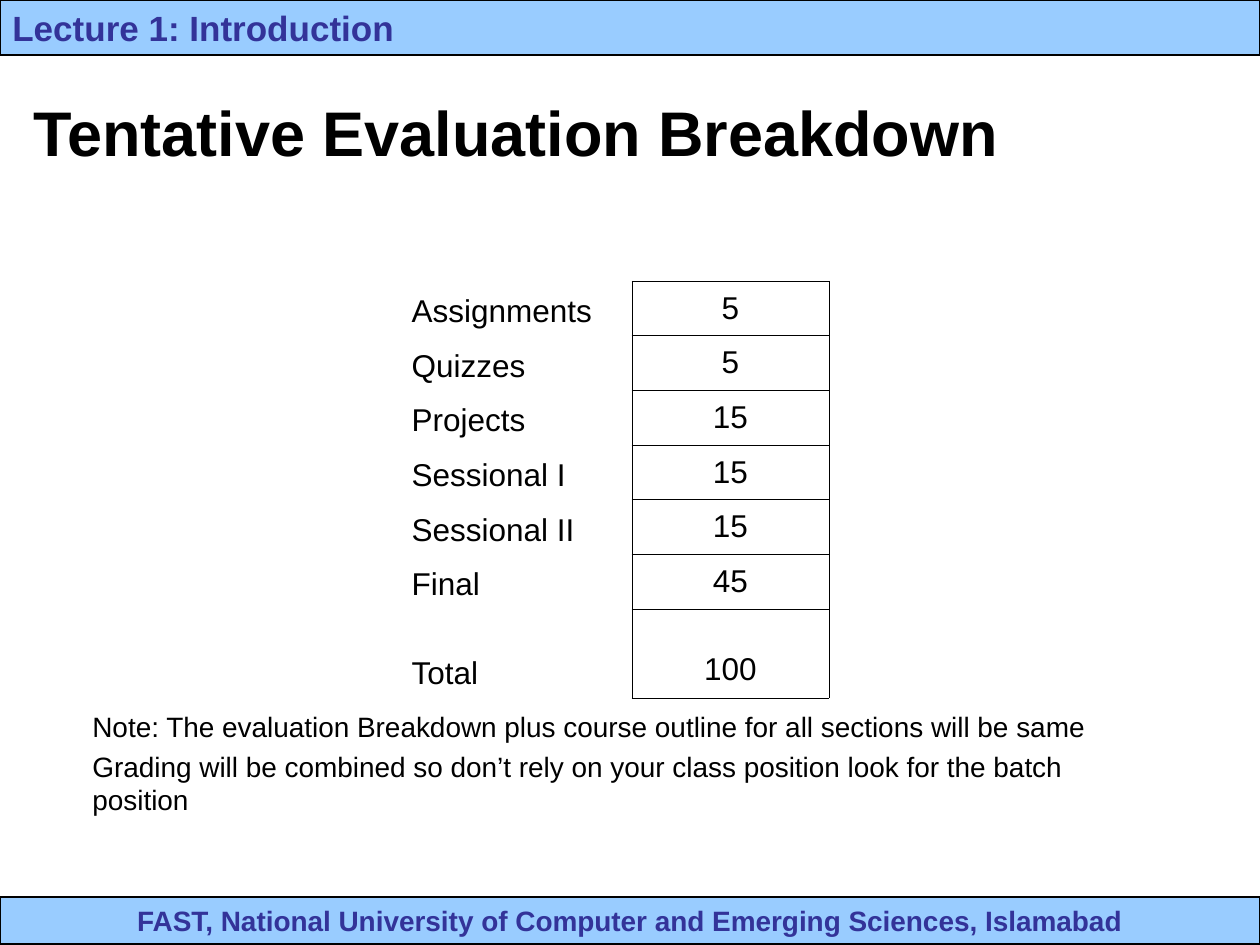
import pptx
import pptx.dml.color
import pptx.enum.shapes
import pptx.enum.text
import pptx.oxml
import pptx.oxml.ns
import pptx.util

ALIGN = pptx.enum.text.PP_ALIGN
ANCHOR = pptx.enum.text.MSO_ANCHOR
BLACK, NAVY, SKY = "000000", "333399", "99CCFF"

TITLE = "Tentative Evaluation Breakdown"
TITLE_PLACE = (21, 63, 1134, 136)
BARS = [
    ("FAST, National University of Computer and Emerging Sciences, Islamabad",
     (0, 897, 1260, 47), 16, ALIGN.CENTER),
    ("Lecture 1: Introduction", (0, 0, 1260, 55), 20, ALIGN.LEFT),
]
NOTES = [
    ("Note: The evaluation Breakdown plus course outline for all sections will be same",
     (80, 703, 1018, 47)),
    ("Grading will be combined so don’t rely on your class position look for the batch position",
     (80, 743, 1099, 47)),
]
MARKS = [
    ("Assignments", "5"), ("Quizzes", "5"), ("Projects", "15"),
    ("Sessional I", "15"), ("Sessional II", "15"), ("Final", "45"),
    ("Total", "100"),
]
TABLE_LEFT, TABLE_TOP = 399, 210
COLUMN_WIDTHS = (233, 197)
HEAD_HEIGHT, MARKS_HEIGHT, TOTAL_HEIGHT = 71, 328, 89
TOTAL_MARGIN = 11


def px(length):
    return pptx.util.Emu(round(length * 914400 / 126))


def color(value):
    return pptx.dml.color.RGBColor.from_string(value)


def write(frame, text, size, align=ALIGN.LEFT, ink=BLACK, bold=False):
    para = frame.paragraphs[0]
    para.text = text
    para.alignment = align
    values = {"name": "Arial", "size": pptx.util.Pt(size), "bold": bold}
    for name, value in values.items():
        setattr(para.font, name, value)
    para.font.color.rgb = color(ink)


def set_borders(cell, ruled):
    """Rule the listed sides (L, R, T, B) and clear the others."""
    properties = cell._tc.get_or_add_tcPr()
    for position, side in enumerate("LRTB"):
        if side in ruled:
            paint = f'<a:solidFill><a:srgbClr val="{BLACK}"/></a:solidFill>'
        else:
            paint = "<a:noFill/>"
        properties.insert(position, pptx.oxml.parse_xml(
            f'<a:ln{side} {pptx.oxml.ns.nsdecls("a")} w="2921">{paint}</a:ln{side}>'))


def add_bar(page, text, place, size, align):
    bar = page.shapes.add_shape(
        pptx.enum.shapes.MSO_SHAPE.RECTANGLE, *map(px, place))
    bar.shadow.inherit = False
    bar.fill.solid()
    bar.fill.fore_color.rgb = color(SKY)
    bar.line.color.rgb = color(BLACK)
    bar.line.width = pptx.util.Pt(0.75)
    bar.text_frame.vertical_anchor = ANCHOR.MIDDLE
    write(bar.text_frame, text, size, align, NAVY, True)


def add_note(page, text, place):
    box = page.shapes.add_textbox(*map(px, place))
    box.text_frame.word_wrap = False
    write(box.text_frame, text, 16)


def add_marks(page):
    rows = [("", "")] + MARKS
    step = MARKS_HEIGHT / (len(MARKS) - 1)
    heights = [HEAD_HEIGHT] + [step] * (len(MARKS) - 1) + [TOTAL_HEIGHT]
    table = page.shapes.add_table(
        len(rows), 2, px(TABLE_LEFT), px(TABLE_TOP),
        px(sum(COLUMN_WIDTHS)), px(sum(heights))).table
    table.first_row = table.horz_banding = False
    for column, width in zip(table.columns, COLUMN_WIDTHS):
        column.width = px(width)
    for index, (texts, height) in enumerate(zip(rows, heights)):
        table.rows[index].height = px(height)
        label, value = table.cell(index, 0), table.cell(index, 1)
        for cell, text, align, anchor in (
                (label, texts[0], ALIGN.LEFT, ANCHOR.BOTTOM),
                (value, texts[1], ALIGN.CENTER, ANCHOR.MIDDLE)):
            cell.fill.background()
            cell.vertical_anchor = anchor
            write(cell.text_frame, text, 18, align)
        set_borders(label, "R" if index else "")
        set_borders(value, "LRTB" if index else "B")
    value.vertical_anchor = ANCHOR.BOTTOM
    value.margin_bottom = px(TOTAL_MARGIN)


def main():
    deck = pptx.Presentation()
    deck.slide_width, deck.slide_height = px(1260), px(945)
    page = deck.slides.add_slide(deck.slide_layouts[5])
    for bar in BARS:
        add_bar(page, *bar)
    title = page.shapes.title
    title.left, title.top, title.width, title.height = map(px, TITLE_PLACE)
    title.text_frame.vertical_anchor = ANCHOR.MIDDLE
    write(title.text_frame, TITLE, 36, bold=True)
    for note in NOTES:
        add_note(page, *note)
    add_marks(page)
    deck.save("out.pptx")


if __name__ == "__main__":
    main()
